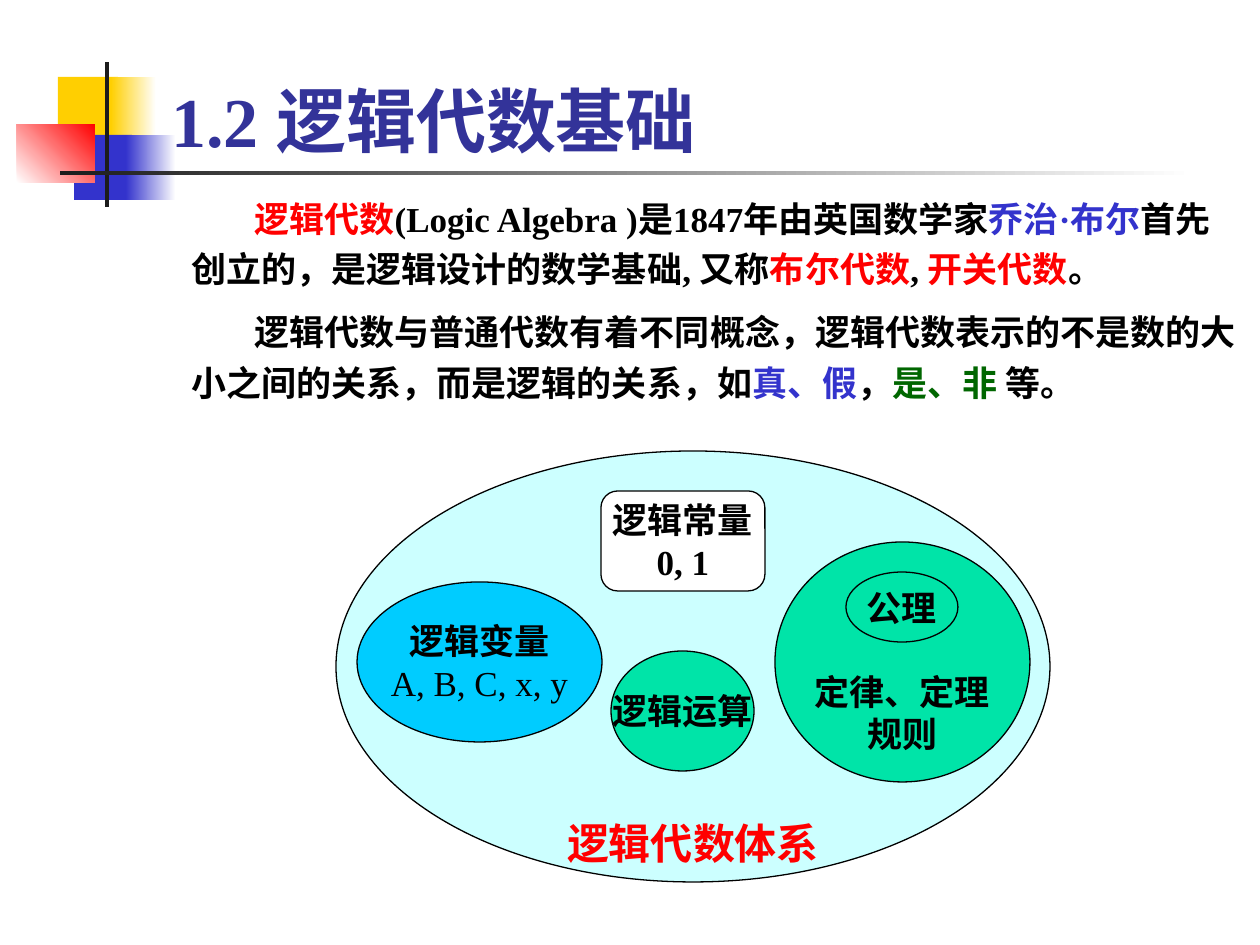
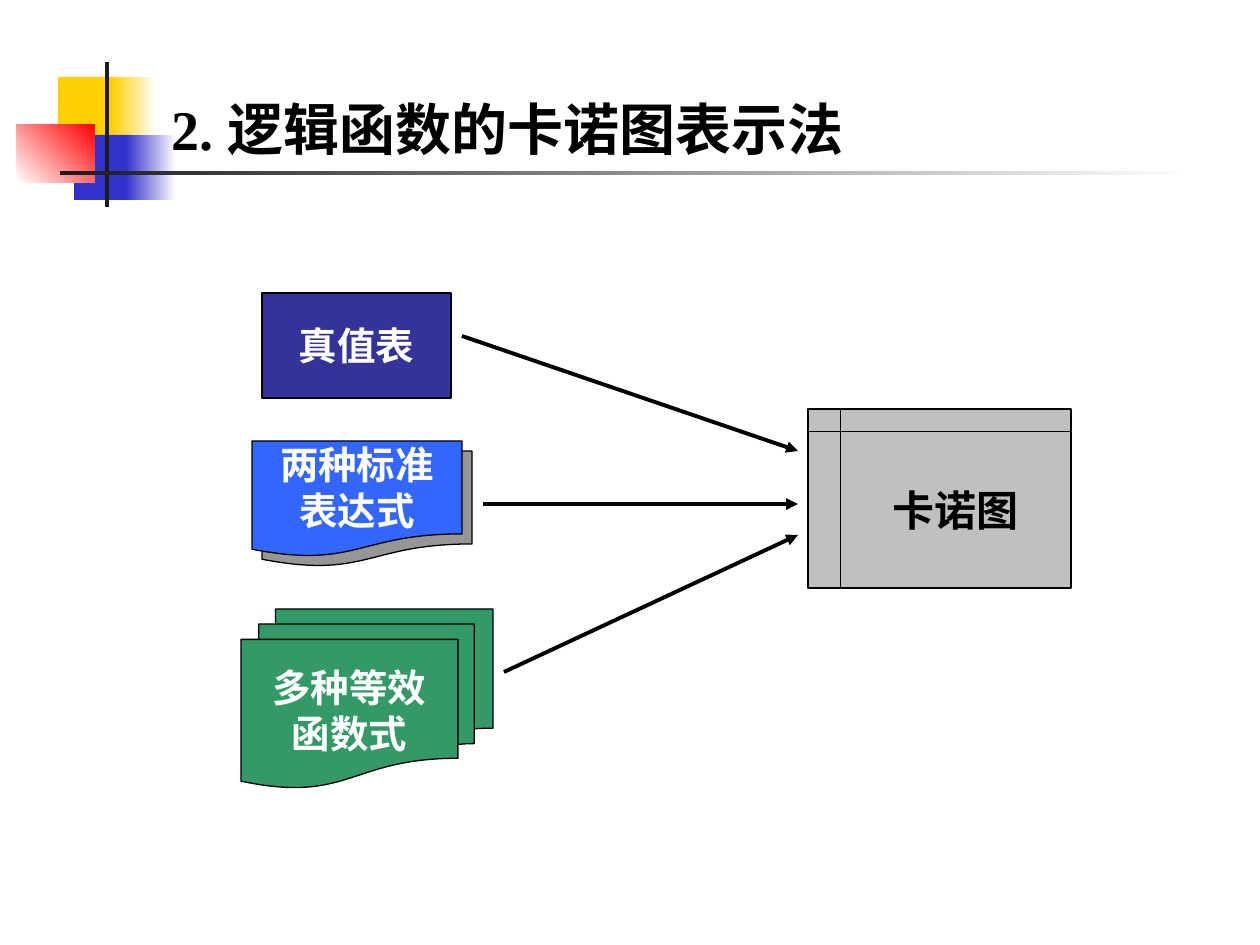
from collections import namedtuple

from lxml.etree import SubElement
from pptx import Presentation
from pptx.dml.color import RGBColor
from pptx.enum.shapes import MSO_CONNECTOR, MSO_SHAPE
from pptx.enum.text import MSO_ANCHOR, PP_ALIGN
from pptx.oxml.ns import qn
from pptx.util import Emu, Pt

PX = 914400 / 126
SERIF, SANS = "Times New Roman", "Cabin"
BLACK, WHITE, RED = "000000", "FFFFFF", "FF0000"
NAVY, BLUE, YELLOW, CHARCOAL = "333399", "3333CC", "FFCF01", "1C1C1C"
PALE, SKY, MINT, FOREST = "CCFFFF", "00CCFF", "00E4A8", "006600"
ROYAL, GREEN, GREY, SILVER = "3366FF", "339966", "969696", "C0C0C0"


class Box(namedtuple("Box", "left top width height")):
    def inside(self, left, top, width, height):
        return Box(self.left + left, self.top + top, width, height)

    def lengths(self):
        return [px(value) for value in self]


MOTIF = Box(17, 62, 1177, 145)
TITLE = Box(159, 10, 1074, 158)
INTRO = Box(179, 183, 1071, 237)
SYSTEM = Box(336, 451, 714, 431)
FLOW = Box(241, 293, 830, 496)


def px(value):
    return Emu(round(value * PX))


def color(value):
    return RGBColor.from_string(value)


def set_font(font, size, ink, name=SERIF, bold=True):
    font.size, font.name, font.bold = Pt(size), name, bold
    font.color.rgb = color(ink)


def write_lines(frame, lines, size, ink, name=SERIF, align=PP_ALIGN.CENTER):
    for index, line in enumerate(lines):
        para = frame.paragraphs[0] if index == 0 else frame.add_paragraph()
        para.text = line
        para.alignment = align
        set_font(para.font, size, ink, name)


def add_label(shapes, box, lines, size, ink, name=SERIF,
              align=PP_ALIGN.CENTER, anchor=MSO_ANCHOR.MIDDLE):
    frame = shapes.add_textbox(*box.lengths()).text_frame
    frame.word_wrap = True
    frame.vertical_anchor = anchor
    write_lines(frame, lines, size, ink, name, align)


def add_block(shapes, kind, box, fill, fade_to=None, angle=0):
    """Add a borderless shape, plain or fading to a second colour."""
    block = shapes.add_shape(kind, *box.lengths())
    block.shadow.inherit = False
    block.line.fill.background()
    if fade_to is None:
        block.fill.solid()
        block.fill.fore_color.rgb = color(fill)
    else:
        block.fill.gradient()
        block.fill.gradient_angle = angle
        for stop, shade in zip(block.fill.gradient_stops, (fill, fade_to)):
            stop.color.rgb = color(shade)
    return block


def add_node(shapes, kind, box, fill, lines=(), size=20, ink=BLACK,
             name=SERIF, border=0.75):
    """Add an outlined shape with centred text."""
    node = add_block(shapes, kind, box, fill)
    node.line.color.rgb = color(BLACK)
    node.line.width = Pt(border)
    frame = node.text_frame
    frame.word_wrap = False
    frame.vertical_anchor = MSO_ANCHOR.MIDDLE
    write_lines(frame, lines, size, ink, name)
    return node


def add_arrow(shapes, box, start, end):
    ends = [px(value) for x, y in (start, end)
            for value in (box.left + x, box.top + y)]
    arrow = shapes.add_connector(MSO_CONNECTOR.STRAIGHT, *ends)
    arrow.line.color.rgb = color(BLACK)
    arrow.line.width = Pt(2.25)
    SubElement(arrow.line._get_or_add_ln(), qn("a:tailEnd"), type="triangle")
    SubElement(arrow._element.spPr, qn("a:effectLst"))


def add_motif(shapes, box):
    parts = [
        (41, 15, 60, 65, YELLOW, None, 0),
        (94, 15, 45, 65, YELLOW, WHITE, 0),
        (57, 73, 58, 65, BLUE, None, 0),
        (109, 73, 50, 65, BLUE, WHITE, 0),
        (0, 62, 78, 59, WHITE, RED, 45),
        (88, 0, 4, 145, CHARCOAL, None, 0),
        (43, 109, 1134, 4, CHARCOAL, WHITE, 0),
    ]
    for *place, fill, fade_to, angle in parts:
        add_block(shapes, MSO_SHAPE.RECTANGLE, box.inside(*place),
                  fill, fade_to, angle)


def add_page(deck, title, size, ink):
    page = deck.slides.add_slide(deck.slide_layouts[6])
    add_motif(page.shapes, MOTIF)
    add_label(page.shapes, TITLE, [title], size, ink,
              align=PP_ALIGN.LEFT, anchor=MSO_ANCHOR.BOTTOM)
    return page


def add_intro(shapes, box):
    paragraphs = [
        [("逻辑代数", RED), ("(Logic Algebra )是1847年由英国数学家", BLACK),
         ("乔治·布尔", BLUE),
         ("首先创立的，是逻辑设计的数学基础, 又称", BLACK),
         ("布尔代数", RED), (", ", BLACK), ("开关代数", RED), ("。", BLACK)],
        [("逻辑代数与普通代数有着不同概念，逻辑代数表示的不是数的大小之间的关系，"
          "而是逻辑的关系，如", BLACK),
         ("真、假", BLUE), ("，", BLACK), ("是、非", FOREST), (" 等。", BLACK)],
    ]
    frame = shapes.add_textbox(*box.lengths()).text_frame
    frame.word_wrap = True
    for index, spans in enumerate(paragraphs):
        para = frame.paragraphs[0] if index == 0 else frame.add_paragraph()
        para._p.get_or_add_pPr().set("indent", str(px(63)))
        para.line_spacing = 1.2
        para.space_after = Pt(7)
        set_font(para.font, 20, BLACK)
        for text, ink in spans:
            span = para.add_run()
            span.text = text
            set_font(span.font, 20, ink)


def add_algebra_system(shapes, box):
    oval = MSO_SHAPE.OVAL
    # Whole system
    add_node(shapes, oval, box.inside(0, 0, box.width, box.height), PALE)
    add_label(shapes, box.inside(0, 360, box.width, 64),
              ["逻辑代数体系"], 24, RED)
    # Constants, variables and operations
    add_node(shapes, MSO_SHAPE.ROUNDED_RECTANGLE,
             box.inside(265, 40, 164, 100), WHITE, ["逻辑常量", "0, 1"])
    variables = add_node(shapes, oval, box.inside(21, 131, 245, 160), SKY,
                         ["逻辑变量", "A, B, C, x, y"])
    variables.text_frame.paragraphs[1].font.bold = False
    add_node(shapes, oval, box.inside(275, 200, 143, 120), MINT,
             ["逻辑运算"], name=SANS)
    # Laws with the axioms inside
    add_node(shapes, oval, box.inside(439, 91, 255, 240), MINT)
    add_node(shapes, oval, box.inside(510, 121, 112, 70), MINT,
             ["公理"], name=SANS)
    add_label(shapes, box.inside(439, 212, 255, 100),
              ["定律、定理", "规则"], 20, BLACK, SANS)


def add_karnaugh_flow(shapes, box):
    # Sources
    add_node(shapes, MSO_SHAPE.FLOWCHART_PROCESS, box.inside(21, 0, 189, 105),
             NAVY, ["真值表"], 22, WHITE, SANS, border=1)
    document = MSO_SHAPE.FLOWCHART_DOCUMENT
    add_node(shapes, document, box.inside(21, 158, 210, 116), GREY)
    add_node(shapes, document, box.inside(11, 148, 210, 116), ROYAL,
             ["两种标准", "表达式"], 22, WHITE)
    add_node(shapes, MSO_SHAPE.FLOWCHART_MULTIDOCUMENT,
             box.inside(0, 316, 252, 179), GREEN,
             ["多种等效", "函数式"], 22, WHITE)
    # Result
    add_node(shapes, MSO_SHAPE.FLOWCHART_INTERNAL_STORAGE,
             box.inside(567, 116, 263, 179), SILVER, ["卡诺图"], 24, BLACK, SANS)
    # Arrows
    for start, end in [((221, 43), (557, 158)), ((242, 211), (557, 211)),
                       ((263, 379), (557, 242))]:
        add_arrow(shapes, box, start, end)


def main():
    deck = Presentation()
    deck.slide_width, deck.slide_height = px(1260), px(945)

    page = add_page(deck, "1.2 逻辑代数基础", 40, NAVY)
    add_algebra_system(page.shapes.add_group_shape().shapes, SYSTEM)
    add_intro(page.shapes, INTRO)

    page = add_page(deck, "2. 逻辑函数的卡诺图表示法", 32, BLACK)
    add_karnaugh_flow(page.shapes, FLOW)

    deck.save("out.pptx")


if __name__ == "__main__":
    main()
